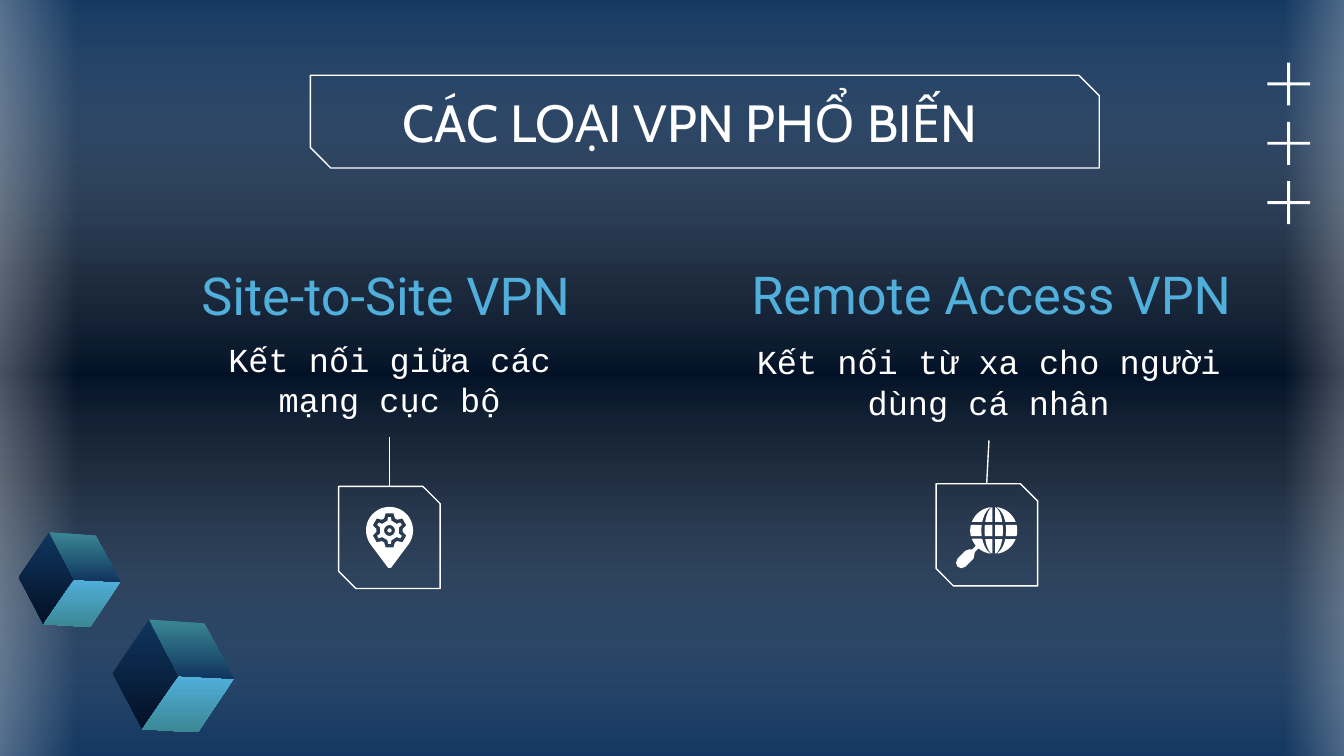
from dataclasses import dataclass
from math import cos, pi, radians, sin, sqrt
from typing import NamedTuple

from lxml.etree import SubElement
from pptx import Presentation
from pptx.dml.color import RGBColor
from pptx.enum.shapes import MSO_CONNECTOR as Connector, MSO_SHAPE as Shape
from pptx.enum.text import MSO_ANCHOR as Anchor, MSO_AUTO_SIZE as AutoSize, PP_ALIGN as Align
from pptx.oxml.ns import qn
from pptx.util import Pt


@dataclass(frozen=True)
class Theme:
    white: str = "FFFFFF"
    navy: str = "10355F"
    night: str = "031126"
    sky: str = "51AFDB"
    teal: str = "3B8794"
    title_font: str = "Cabin"
    heading_font: str = "Roboto"
    body_font: str = "Courier New"
    heading_size: float = 28
    body_size: float = 18
    line: float = 0.75


class Box(NamedTuple):
    x: float
    y: float
    w: float
    h: float

    def emu(self) -> list:
        return [Pt(v) for v in self]


class Stop(NamedTuple):
    pos: int
    color: str
    alpha: int = 100


class VpnType(NamedTuple):
    heading: str
    heading_box: Box
    body: str
    body_box: Box
    icon_frame: Box
    line_from: tuple
    line_to: tuple


T = Theme()
VPN_TYPES = [
    VpnType("Site-to-Site VPN", Box(64.1, 156.2, 285.1, 25.9),
            "Kết nối giữa các mạng cục bộ", Box(113, 174.2, 191.5, 59.8),
            Box(181.4, 260.6, 54.4, 54.7), (208.8, 260.6), (208.8, 234)),
    VpnType("Remote Access VPN", Box(348.5, 155.5, 365, 25.9),
            "Kết nối từ xa cho người dùng cá nhân", Box(394.6, 175.7, 270, 59.8),
            Box(501.5, 259.2, 54.4, 54.7), (528.6, 259.2), (529.8, 236)),
]
# Cube corners, relative to the cube's top left
TOP, LEFT, BOTTOM, MIDDLE = (19.4, 0), (0, 28.8), (15.8, 58.7), (35.3, 30.2)
RIGHT, LOW_RIGHT, TOP_RIGHT = (64.8, 31.7), (45.4, 60.5), (49, 2.2)
CUBE_FACES = [
    ((TOP, LEFT, BOTTOM, MIDDLE), T.navy, T.night),
    ((MIDDLE, RIGHT, LOW_RIGHT, BOTTOM), T.sky, T.teal),
    ((TOP, TOP_RIGHT, RIGHT, MIDDLE), T.teal, T.navy),
]
HANDLE = [(-11.5, 4.3), (-9.4, 7.9), (-11.5, 10.1), (-13, 10.1), (-15.1, 10.8), (-19.4, 15.1),
          (-20.2, 17.3), (-19.4, 19.4), (-17.3, 20.2), (-15.1, 19.4), (-10.8, 15.1),
          (-10.1, 11.5), (-7.9, 9.4), (-3.6, 11.5), (-5, 8.6), (-6.5, 4.3)]


def set_gradient(fill, root, stops: list, angle: int) -> None:
    """Fill with any number of stops; angle runs clockwise, in degrees."""
    fill.gradient()
    grad = next(root.iter(qn("a:gradFill")))
    for child in list(grad):
        grad.remove(child)
    gs_list = SubElement(grad, qn("a:gsLst"))
    for stop in stops:
        gs = SubElement(gs_list, qn("a:gs"), pos=str(stop.pos * 1000))
        color = SubElement(gs, qn("a:srgbClr"), val=stop.color)
        if stop.alpha < 100:
            SubElement(color, qn("a:alpha"), val=str(stop.alpha * 1000))
    SubElement(grad, qn("a:lin"), ang=str(angle * 60000), scaled="0")


def paint(sp, color: str) -> None:
    sp.fill.solid()
    sp.fill.fore_color.rgb = RGBColor.from_string(color)


def add_plain(s, kind, box: Box):
    sp = s.shapes.add_shape(kind, *box.emu())
    sp.shadow.inherit = False
    sp.line.fill.background()
    return sp


def add_glow(s, box: Box, stops: list, rotation: int = 0) -> None:
    sp = add_plain(s, Shape.RECTANGLE, box)
    set_gradient(sp.fill, sp.element.spPr, stops, 180)
    sp.rotation = rotation


def add_frame(s, box: Box, snip: float) -> None:
    sp = add_plain(s, Shape.SNIP_2_DIAG_RECTANGLE, box)
    sp.adjustments[0], sp.adjustments[1] = 0, snip
    sp.fill.background()
    sp.line.color.rgb = RGBColor.from_string(T.white)
    sp.line.width = Pt(T.line)


def set_text(sp, text: str, font: str, size: float, color: str, anchor) -> None:
    tf = sp.text_frame
    tf.word_wrap, tf.auto_size, tf.vertical_anchor = True, AutoSize.NONE, anchor
    tf.margin_left = tf.margin_right = tf.margin_top = tf.margin_bottom = Pt(7.2)
    tf.text = text
    p = tf.paragraphs[0]
    p.alignment = Align.CENTER
    f = p.runs[0].font
    f.name, f.size, f.color.rgb = font, Pt(size), RGBColor.from_string(color)


def add_line(s, start: tuple, end: tuple) -> None:
    line = s.shapes.add_connector(Connector.STRAIGHT, *(Pt(v) for v in start + end))
    line.line.color.rgb = RGBColor.from_string(T.white)
    line.line.width = Pt(T.line)
    SubElement(line.element.spPr, qn("a:effectLst"))


def add_outline(s, origin: tuple, *contours: list, scale: float = 1):
    """Closed polygons in one shape; contours after the first cut holes."""
    placed = [[(Pt(origin[0] + x * scale), Pt(origin[1] + y * scale)) for x, y in contour]
              for contour in contours]
    builder = s.shapes.build_freeform(*placed[0][0], scale=1.0)
    for i, contour in enumerate(placed):
        if i:
            builder.move_to(*contour[0])
        builder.add_line_segments(contour[1:], close=True)
    sp = builder.convert_to_shape()
    sp.shadow.inherit = False
    sp.line.fill.background()
    paint(sp, T.white)
    return sp


def arc(radius: float, start: float = 0, end: float = 360, steps: int = 36) -> list:
    angles = [radians(start + (end - start) * i / steps) for i in range(steps + 1)]
    return [(radius * cos(a), radius * sin(a)) for a in angles]


def gear(tip: float, tip_half: float, root: float, root_half: float) -> list:
    """Six-toothed outline from radii and half-angles of tooth tip and root."""
    tooth = [(root, -root_half), (tip, -tip_half), (tip, tip_half), (root, root_half)]
    return [(r * sin(a), -r * cos(a)) for k in range(6) for r, off in tooth
            for a in [radians(60 * k + off)]]


def add_pin(s, center: tuple) -> None:
    pin = arc(12.6, 144, 396) + [(0.7, 20.1), (-0.7, 20.1)]
    add_outline(s, center, pin, gear(9.4, 13, 7.1, 24))
    add_outline(s, center, gear(7.2, 6, 5.3, 12), arc(2.9))
    add_outline(s, center, arc(1.1))


def add_globe(s, center: tuple) -> None:
    radius, steps = 12.6, 12

    def meridian(rx: float, y: float) -> float:
        return rx * sqrt(1 - (y / radius) ** 2)

    for top, bottom in [(-12.3, -4.6), (-3, 3), (4.6, 12.3)]:
        ys = [top + (bottom - top) * i / steps for i in range(steps + 1)]
        for side in (-1, 1):
            inner = [(side * 0.7, y) for y in ys]
            middle = [(side * meridian(4.9, y), y) for y in ys]
            outer = [(side * meridian(6.6, y), y) for y in ys]
            rim = [(side * meridian(radius, y), y) for y in ys]
            add_outline(s, center, inner + middle[::-1])
            add_outline(s, center, outer + rim[::-1])
    add_outline(s, center, HANDLE)


def add_cube(s, origin: tuple, scale: float) -> None:
    for corners, upper, lower in CUBE_FACES:
        sp = add_outline(s, origin, list(corners), scale=scale)
        set_gradient(sp.fill, sp.element.spPr, [Stop(0, upper), Stop(100, lower)], 90)


def add_plus(s, x: float, y: float, size: float = 23, thick: float = 1.6) -> None:
    for w, h in [(size, thick), (thick, size)]:
        paint(add_plain(s, Shape.RECTANGLE, Box(x - w / 2, y - h / 2, w, h)), T.white)


def main() -> None:
    prs = Presentation()
    prs.slide_width, prs.slide_height = Pt(720), Pt(405)
    s = prs.slides.add_slide(prs.slide_layouts[5])
    set_gradient(s.background.fill, s.element, [Stop(0, T.navy), Stop(37, T.night),
                                               Stop(63, T.night), Stop(100, T.navy)], 90)
    add_glow(s, Box(158.4, -167.8, 418.3, 735.1),
             [Stop(0, T.navy, 59), Stop(50, T.white, 0), Stop(100, T.navy, 59)], 270)
    edge = [Stop(0, T.white, 47), Stop(100, T.white, 0)]
    add_glow(s, Box(-29.5, -6.5, 70.6, 417.6), edge, 180)
    add_glow(s, Box(688.3, -9.4, 61.2, 417.6), edge)

    add_frame(s, Box(166.3, 40.3, 422.6, 49.7), 0.22)
    title = s.shapes.title
    title.left, title.top, title.width, title.height = Box(76.3, 42.5, 586.8, 45.4).emu()
    set_text(title, "CÁC LOẠI VPN PHỔ BIẾN", T.title_font, T.heading_size, T.white, Anchor.MIDDLE)
    title.element.getparent().append(title.element)  # bring above the glows

    for vpn in VPN_TYPES:
        set_text(s.shapes.add_textbox(*vpn.heading_box.emu()), vpn.heading,
                 T.heading_font, T.heading_size, T.sky, Anchor.BOTTOM)
        set_text(s.shapes.add_textbox(*vpn.body_box.emu()), vpn.body,
                 T.body_font, T.body_size, T.white, Anchor.TOP)
        add_frame(s, vpn.icon_frame, 0.17)
        add_line(s, vpn.line_from, vpn.line_to)
    add_pin(s, (208.7, 284.2))
    add_globe(s, (532.4, 284.2))

    for row in range(3):
        add_plus(s, 690.4, 45 + 31.8 * row)
    add_cube(s, (60.5, 331.9), 1)
    add_cube(s, (10.1, 285.1), 0.84)
    prs.save("out.pptx")


if __name__ == "__main__":
    main()
